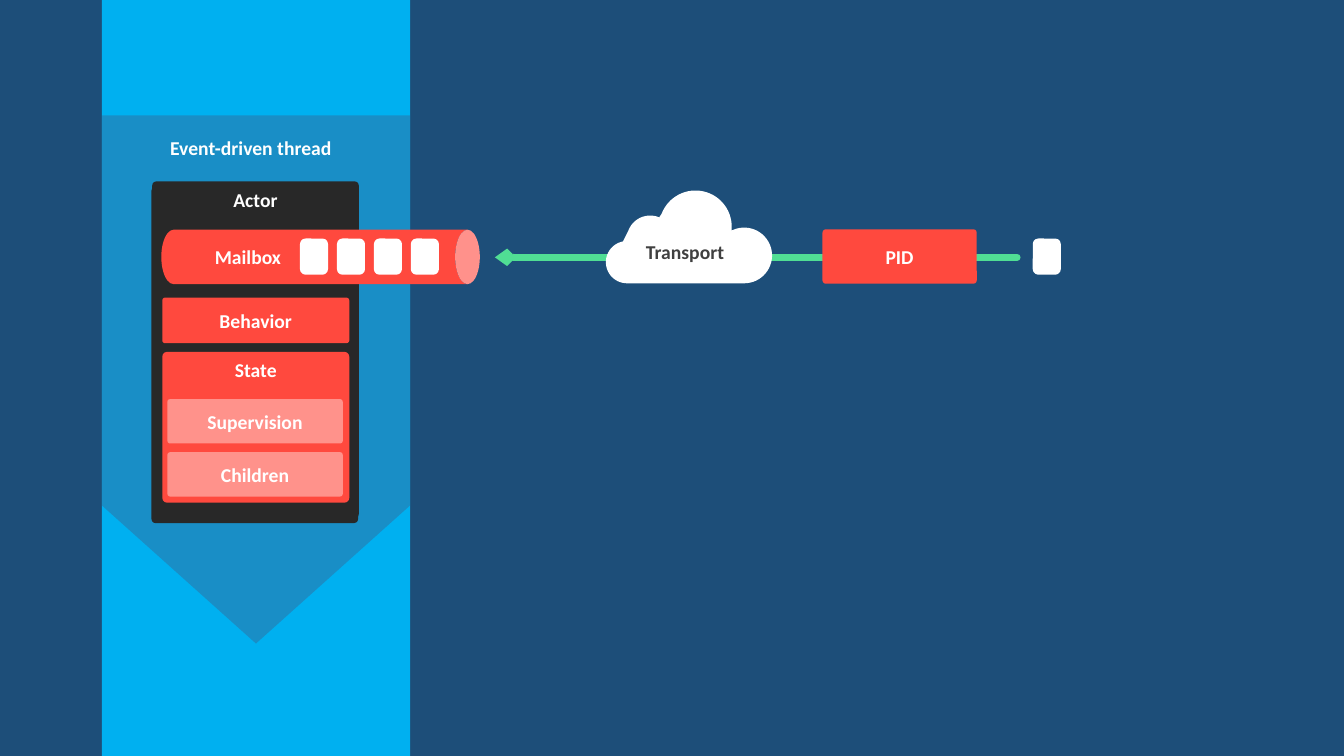
import math
from lxml import etree
from pptx import Presentation
from pptx.dml.color import RGBColor
from pptx.enum import shapes, text
from pptx.oxml.ns import qn
from pptx.util import Pt

COLORS = {
    "background": "1D4E79", "band": "00B0F0", "thread": "3F5E8B",
    "panel": "282828", "red": "FF493E", "pink": "FF928B",
    "green": "50DE94", "white": "FFFFFF", "dark": "404040",
}
KIND = shapes.MSO_SHAPE
ANCHOR = text.MSO_ANCHOR
ALIGN = text.PP_ALIGN


class Board:
    """Holds the text style and the current slide."""

    def __init__(self, slide, font="Calibri", size=14):
        self.slide, self.font, self.size = slide, font, size
        slide.background.fill.solid()
        slide.background.fill.fore_color.rgb = self.color("background")

    def color(self, name):
        return RGBColor.from_string(COLORS[name])

    def paint(self, shape, fill, outline=None):
        shape.shadow.inherit = False
        shape.fill.solid()
        shape.fill.fore_color.rgb = self.color(fill)
        if outline:
            shape.line.color.rgb = self.color(outline)
            shape.line.width = Pt(2)
        else:
            shape.line.fill.background()

    def caption(self, shape, words, color="white", align=ALIGN.CENTER, anchor=ANCHOR.MIDDLE):
        frame = shape.text_frame
        frame.vertical_anchor = anchor
        para = frame.paragraphs[0]
        para.text, para.alignment = words, align
        para.font.name, para.font.size, para.font.bold = self.font, Pt(self.size), True
        para.font.color.rgb = self.color(color)

    def shape(self, kind, place, fill, adjust=(), words="", anchor=ANCHOR.MIDDLE, outline=None):
        shape = self.slide.shapes.add_shape(kind, *map(Pt, place))
        for index, value in enumerate(adjust):
            shape.adjustments[index] = value
        self.paint(shape, fill, outline)
        if words:
            self.caption(shape, words, anchor=anchor)
        return shape

    def label(self, place, words, color="white", align=ALIGN.LEFT, anchor=ANCHOR.TOP, wrap=False):
        box = self.slide.shapes.add_textbox(*map(Pt, place))
        box.text_frame.word_wrap = wrap
        self.caption(box, words, color, align, anchor)

    def message(self, left):
        self.shape(KIND.ROUNDED_RECTANGLE, (left, 171.4, 18, 23.8), "white", outline="white")

    def arrow(self, start, end, color, width):
        line = self.slide.shapes.add_connector(
            shapes.MSO_CONNECTOR.STRAIGHT, *map(Pt, start + end))
        line.line.color.rgb = self.color(color)
        line.line.width = Pt(width)
        outline = line._element.spPr.find(qn("a:ln"))
        outline.set("cap", "rnd")
        etree.SubElement(outline, qn("a:tailEnd"), type="arrow", w="sm", len="sm")
        etree.SubElement(line._element.spPr, qn("a:effectLst"))

    def outline_of_arcs(self, arcs, fill, steps=32):
        """Join arcs (centre x, centre y, radius, from, to in degrees) into one outline."""
        points = []
        for x, y, radius, first, last in arcs:
            for step in range(steps + 1):
                angle = math.radians(first + (last - first) * step / steps)
                points.append((Pt(x + radius * math.cos(angle)), Pt(y + radius * math.sin(angle))))
        builder = self.slide.shapes.build_freeform(*points[0])
        builder.add_line_segments(points[1:], close=True)
        self.paint(builder.convert_to_shape(), fill)


deck = Presentation()
deck.slide_width, deck.slide_height = Pt(960), Pt(540)
board = Board(deck.slides.add_slide(deck.slide_layouts[6]))
ROUND = KIND.ROUNDED_RECTANGLE

# Thread band with its translucent arrow
board.shape(KIND.RECTANGLE, (72.7, 0, 220.3, 540), "band")
thread = board.shape(KIND.DOWN_ARROW, (72.7, 82.4, 220.3, 377.3), "thread", (1, 0.448))
tint = thread._element.spPr.find(".//" + qn("a:srgbClr"))
etree.SubElement(tint, qn("a:alpha"), val="41000")
board.label((114.5, 93.6, 139, 24.2), "Event-driven thread")

# Delivery line and process id
board.arrow((726.5, 183.8), (353.5, 183.8), "green", 5)
board.shape(ROUND, (587.5, 163.8, 110.2, 38.9), "red", (0.062,), "PID")

# Actor panel
board.shape(ROUND, (108.2, 133.2, 147.6, 240.5), "panel", (0.02,))
board.shape(ROUND, (108.7, 129.6, 147.6, 240.5), "panel", (0.02,), "Actor", ANCHOR.TOP)

# State with its parts
board.shape(ROUND, (115.9, 251.3, 133.6, 107.8), "red", (0.033,), "State", ANCHOR.TOP)
for row, part in enumerate(("Supervision", "Children")):
    board.shape(ROUND, (119.6, 285.1 + 37.9 * row, 125.3, 31.7), "pink", (0.062,), part)
board.shape(ROUND, (115.9, 212.6, 133.6, 32.6), "red", (0.062,), "Behavior")

# Mailbox with queued messages, and one message on its way
mailbox = board.shape(KIND.CAN, (209.5, 69.8, 38.9, 227.5), "red", (0.453,))
mailbox.rotation = 90
board.label((131, 174.6, 92.2, 17.3), "Mailbox",
            align=ALIGN.CENTER, anchor=ANCHOR.MIDDLE, wrap=True)
for slot in range(4):
    board.message(215.3 + 26.4 * slot)
board.message(738.7)

# Transport cloud
board.outline_of_arcs([
    (447.9, 187.3, 15.1, 90, 259),
    (464.4, 170.6, 16.6, 200, 293),
    (496.8, 162, 25.9, 201, 366),
    (531.6, 182.5, 19.9, 247, 450),
], "white")
board.label((454.3, 167.8, 75.6, 24.2), "Transport", "dark")

deck.save("out.pptx")
